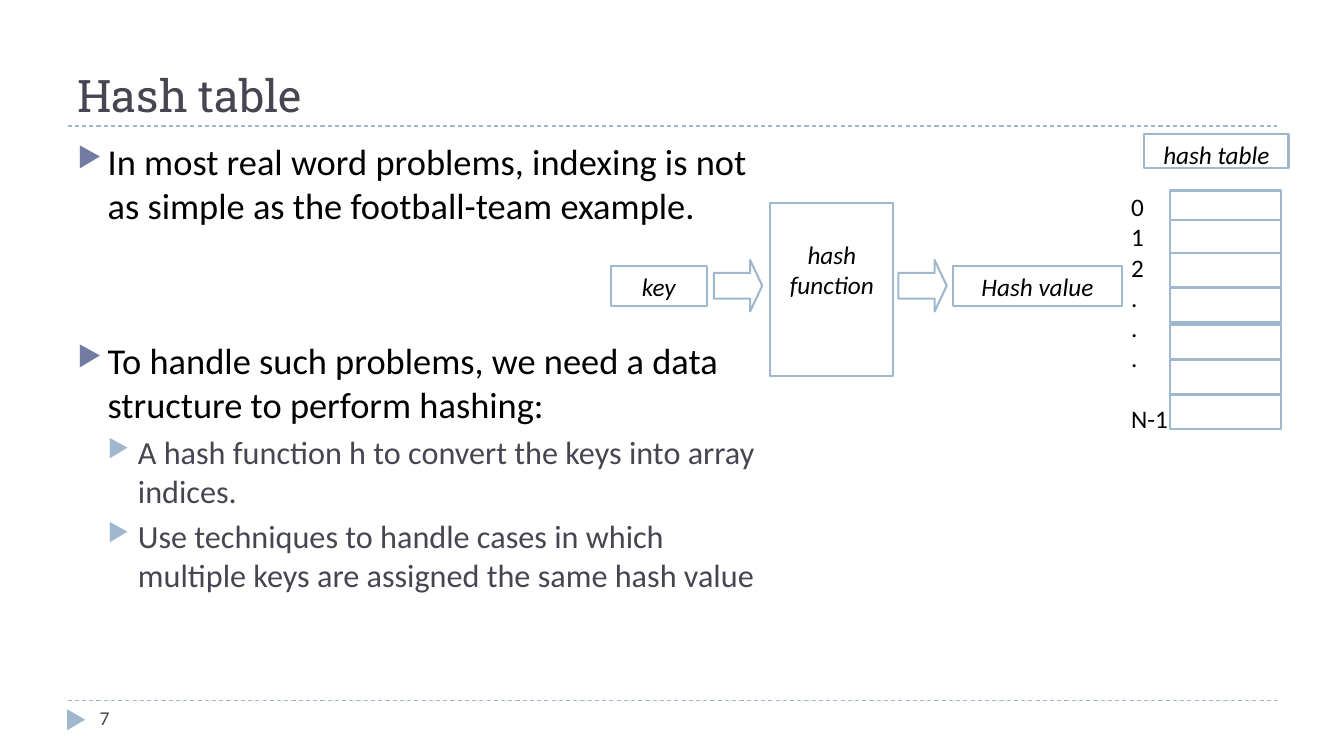
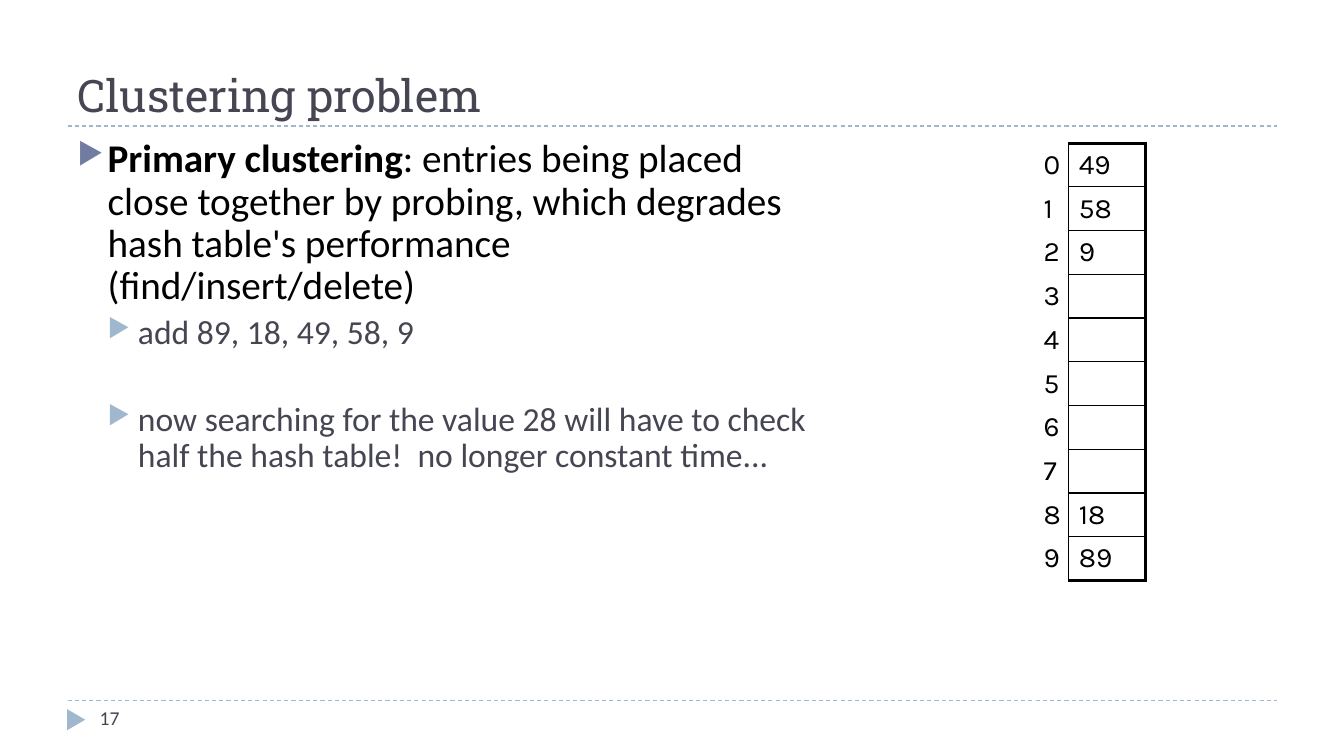
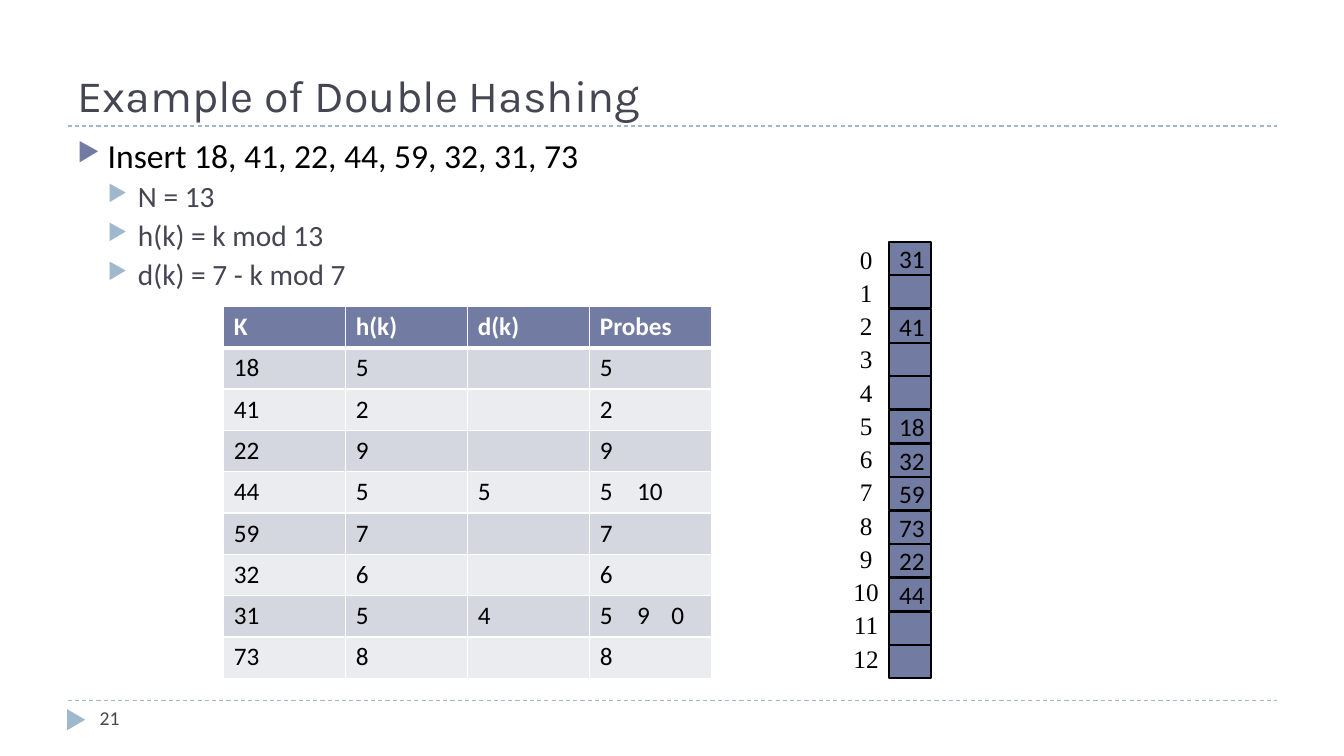
from pptx import Presentation
from pptx.dml.color import RGBColor
from pptx.enum.dml import MSO_LINE
from pptx.enum.shapes import MSO_CONNECTOR, MSO_SHAPE
from pptx.enum.text import MSO_ANCHOR, PP_ALIGN
from pptx.oxml.ns import qn
from pptx.util import Inches, Pt
from lxml import etree

RECT, ARROW = MSO_SHAPE.RECTANGLE, MSO_SHAPE.RIGHT_ARROW
WEDGE = MSO_SHAPE.ISOSCELES_TRIANGLE
LINE, DASH = MSO_CONNECTOR.STRAIGHT, MSO_LINE.DASH
LEFT, MID = PP_ALIGN.LEFT, PP_ALIGN.CENTER
TOP, CENTER, BASE = MSO_ANCHOR.TOP, MSO_ANCHOR.MIDDLE, MSO_ANCHOR.BOTTOM

HUES = {
    "black": "000000", "white": "FFFFFF", "slate": "464653",
    "sky": "9FB8CD", "plum": "727CA3", "dark": "D5D7E0", "light": "EBECF0",
}
SANS, SLAB, KARLA, TIMES = "Calibri", "Roboto Slab", "Karla", "Times New Roman"


def tint(name):
    return RGBColor.from_string(HUES[name])


def node(host, tag, **attrs):
    return etree.SubElement(host, qn(tag), attrs)


# Text
def style(par, size, face=SANS, hue="black", bold=False, slant=False):
    font = par.font
    font.size, font.name = Pt(size), face
    font.bold, font.italic = bold, slant
    font.color.rgb = tint(hue)


def write(frame, lines, size, align=LEFT, anchor=TOP, wrap=True, **look):
    frame.word_wrap, frame.vertical_anchor = wrap, anchor
    for i, line in enumerate(lines):
        par = frame.add_paragraph() if i else frame.paragraphs[0]
        par.text, par.alignment = line, align
        style(par, size, **look)
    return frame


def label(slide, box, lines, size, **look):
    area = slide.shapes.add_textbox(*map(Inches, box))
    return write(area.text_frame, lines, size, **look)


def bullets(slide, width, items, sizes, space=None):
    """Each item is (level, plain or (bold, plain) text, points before)."""
    box = map(Inches, (0.67, 1.33, width, 5.4))
    frame = slide.shapes.add_textbox(*box).text_frame
    frame.word_wrap = True
    for i, (level, words, gap) in enumerate(items):
        par = frame.add_paragraph() if i else frame.paragraphs[0]
        par.level = level
        props = par._p.get_or_add_pPr()
        props.set("marL", str(Inches(0.3 * (level + 1))))
        props.set("indent", str(Inches(-0.3)))
        mark = HUES["sky" if level else "plum"]
        node(node(props, "a:buClr"), "a:srgbClr", val=mark)
        node(props, "a:buSzPct", val="76000")
        node(props, "a:buChar", char="▶")
        par.space_before = Pt(gap)
        if space:
            par.line_spacing = space
        style(par, sizes[level], hue="slate" if level else "black")
        if isinstance(words, tuple):
            for part, bold in zip(words, (True, False)):
                run = par.add_run()
                run.text, run.font.bold = part, bold
        else:
            par.text = words


# Shapes
def shape(slide, kind, box, fill, edge=None):
    item = slide.shapes.add_shape(kind, *map(Inches, box))
    item.shadow.inherit = False
    item.fill.solid()
    item.fill.fore_color.rgb = tint(fill)
    if edge:
        item.line.color.rgb = tint(edge)
        item.line.width = Pt(1.5)
    else:
        item.line.fill.background()
    return item


def block(slide, box, words=None, inset=0.05):
    item = shape(slide, RECT, box, "white", "sky")
    if words:
        item.text_frame.margin_top = Inches(inset)
        write(item.text_frame, [words], 18, align=MID, slant=True)


def arrow(slide, left):
    item = shape(slide, ARROW, (left, 2.58, 0.48, 0.51), "white", "sky")
    item.adjustments[1] = 0.25


def rule(slide, y):
    line = slide.shapes.add_connector(
        LINE, Inches(0.67), Inches(y), Inches(12.67), Inches(y))
    line.line.color.rgb = tint("sky")
    line.line.width, line.line.dash_style = Pt(0.75), DASH
    node(line._element.spPr, "a:effectLst")


# Tables
def grid(slide, left, top, widths, height, count):
    size = (left, top, sum(widths), height * count)
    table = slide.shapes.add_table(
        count, len(widths), *map(Inches, size)).table
    table.first_row = table.horz_banding = False
    for col, width in zip(table.columns, widths):
        col.width = Inches(width)
    for row in table.rows:
        row.height = Inches(height)
    return table


def edges(cell, hue, **widths):
    """Draw the sides named L, R, T, B, in that order."""
    props = cell._tc.get_or_add_tcPr()
    for side, width in widths.items():
        line = node(props, "a:ln" + side, w=str(Pt(width)))
        node(node(line, "a:solidFill"), "a:srgbClr", val=HUES[hue])


def tabs(par, stops):
    host = node(par._p.get_or_add_pPr(), "a:tabLst")
    for stop in stops:
        node(host, "a:tab", pos=str(Inches(stop)), algn="l")


# Shared frame of every slide
def page(deck, title, number, face=SLAB):
    slide = deck.slides.add_slide(deck.slide_layouts[6])
    rule(slide, 6.95)
    rule(slide, 1.25)
    shape(slide, WEDGE, (0.65, 7.05, 0.21, 0.18), "sky").rotation = 90
    label(slide, (0.67, 0.17, 12, 1.08), [title], 32,
          anchor=BASE, face=face, hue="slate")
    label(slide, (0.89, 6.95, 2.89, 0.4), [str(number)], 14, hue="slate")
    return slide


def hashing(deck):
    slide = page(deck, "Hash table", 7)
    bullets(slide, 6.97, [
        (0, "In most real word problems, indexing is not as simple as "
            "the football-team example.", 6),
        (0, "To handle such problems, we need a data structure to "
            "perform hashing:", 80),
        (1, "A hash function h to convert the keys into array indices.", 5),
        (1, "Use techniques to handle cases in which multiple keys are "
            "assigned the same hash value", 5),
    ], (26, 23))

    # Flow from key to hash value
    block(slide, (6.06, 2.64, 0.95, 0.4), "key")
    arrow(slide, 7.08)
    block(slide, (7.64, 2.01, 1.22, 1.72), "hash function", inset=0.36)
    arrow(slide, 8.91)
    block(slide, (9.45, 2.64, 1.68, 0.4), "Hash value")

    # Slots and their indices
    for top in (1.89, 2.18, 2.51, 2.86, 3.22, 3.57, 3.92):
        block(slide, (11.6, top, 1.11, 0.34))
    block(slide, (11.35, 1.33, 1.43, 0.34), "hash table")
    frame = label(slide, (11.12, 1.85, 0.66, 2.52),
                  ["0", "1", "2", ".", ".", ".", "N-1"], 18)
    frame.paragraphs[-1].space_before = Pt(22)


def cluster(deck):
    slide = page(deck, "Clustering problem", 17)
    bullets(slide, 7.43, [
        (0, ("Primary clustering", ": entries being placed close together "
             "by probing, which degrades hash table's performance "
             "(find/insert/delete)"), 6),
        (1, "add 89, 18, 49, 58, 9", 5),
        (1, "now searching for the value 28 will have to check half the "
            "hash table!  no longer constant time...", 36),
    ], (28, 24), 0.9)

    # Array with its indices
    slots = {0: 49, 1: 58, 2: 9, 8: 18, 9: 89}
    table = grid(slide, 10.25, 1.42, (0.35, 0.76), 0.42, 10)
    for i in range(10):
        index, slot = table.cell(i, 0), table.cell(i, 1)
        edges(index, "black", R=1)
        edges(slot, "black", L=1, R=2.25,
              T=1 if i else 2.25, B=1 if i < 9 else 2.25)
        for cell, value in ((index, i), (slot, slots.get(i, ""))):
            cell.fill.background()
            cell.vertical_anchor = CENTER
            par = cell.text_frame.paragraphs[0]
            par.text = str(value)
            style(par, 20, KARLA)


def double(deck):
    slide = page(deck, "Example of Double Hashing", 21, KARLA)
    bullets(slide, 12, [
        (0, "Insert 18, 41, 22, 44, 59, 32, 31, 73", 6),
        (1, "N = 13", 5),
        (1, "h(k) = k mod 13", 5),
        (1, "d(k) = 7 - k mod 7", 5),
    ], (24, 21), 0.9)

    # Array with its indices
    slots = {0: 31, 2: 41, 5: 18, 6: 32, 7: 59, 8: 73, 9: 22, 10: 44}
    for i in range(13):
        box = (8.82, round(2.4 + i / 3, 2), 0.41, 0.33)
        item = shape(slide, RECT, box, "plum", "black")
        if i in slots:
            write(item.text_frame, [str(slots[i])], 18,
                  anchor=CENTER, wrap=False)
        label(slide, (8.34, 2.37 + 0.33 * i, 0.5, 0.4), [str(i)], 18,
              align=MID, face=TIMES)

    # Probe table
    rows = [
        ("K", "h(k)", "d(k)", "Probes"),
        ("18", "5", "", "5"),
        ("41", "2", "", "2"),
        ("22", "9", "", "9"),
        ("44", "5", "5", "5\t10"),
        ("59", "7", "", "7"),
        ("32", "6", "", "6"),
        ("31", "5", "4", "5\t9\t0"),
        ("73", "8", "", "8"),
    ]
    table = grid(slide, 2.22, 3.04, [1.21] * 4, 0.41, len(rows))
    for r, row in enumerate(rows):
        fill = ("dark" if r % 2 else "light") if r else "plum"
        for c, words in enumerate(row):
            cell = table.cell(r, c)
            edges(cell, "white", L=1, R=1, T=3 if r == 1 else 1,
                  B=1 if r else 3)
            cell.fill.solid()
            cell.fill.fore_color.rgb = tint(fill)
            par = cell.text_frame.paragraphs[0]
            par.text = words
            if "\t" in words:
                tabs(par, (0.37, 0.71))
            style(par, 18, hue="black" if r else "white", bold=not r)


def main():
    deck = Presentation()
    deck.slide_width, deck.slide_height = Inches(13.33), Inches(7.5)
    hashing(deck)
    cluster(deck)
    double(deck)
    deck.save("out.pptx")


if __name__ == "__main__":
    main()
